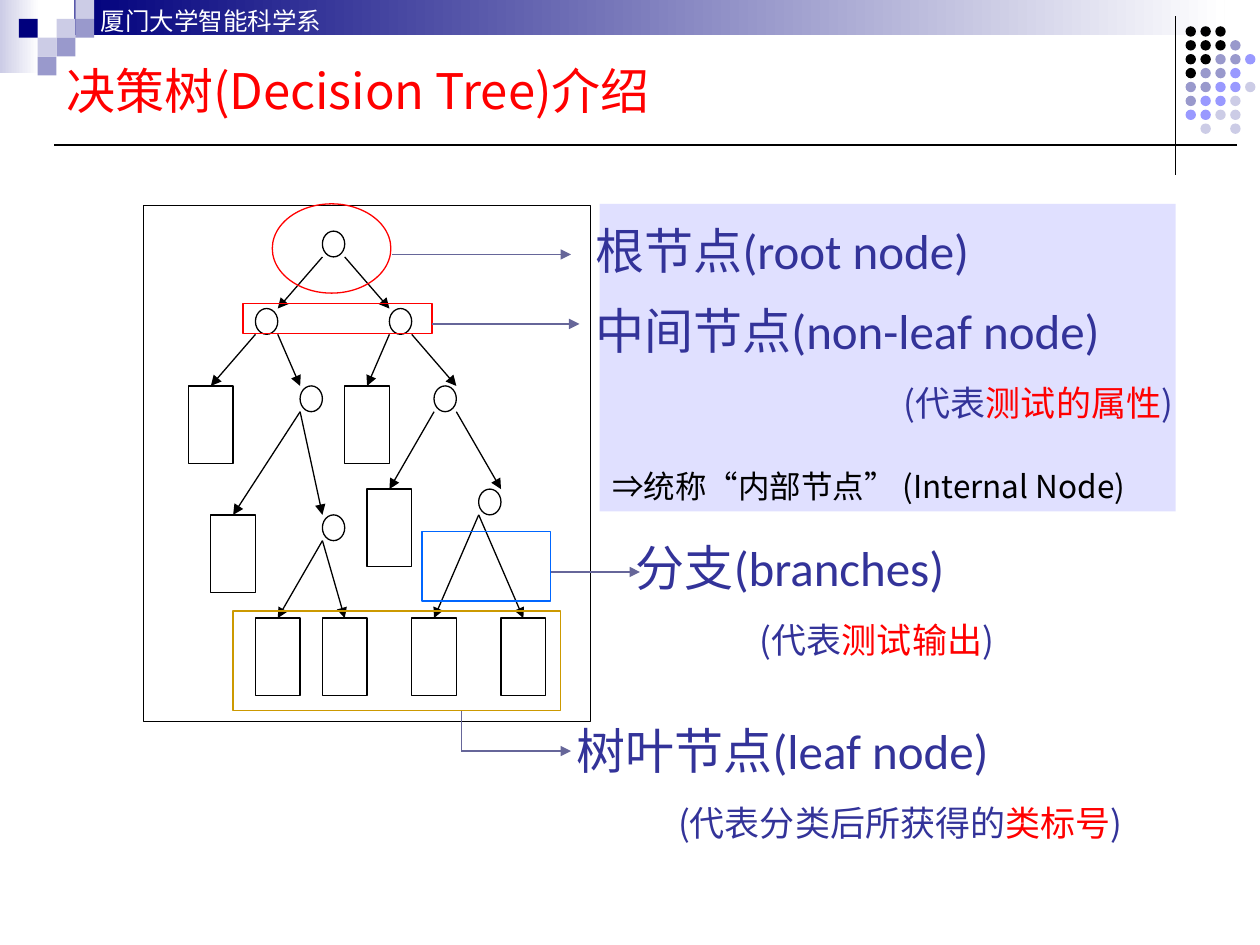
from pptx import Presentation, util as u
from pptx.dml.color import RGBColor
from pptx.enum import shapes, text
from pptx.oxml.ns import qn
from lxml import etree

HUES = {
    "black": "000000", "white": "FFFFFF", "red": "FF0000", "navy": "00007D",
    "pale": "CCCCE6", "mauve": "9999CC", "lilac": "9999FF", "ink": "333399",
    "slate": "666699", "blue": "0066FF", "gold": "CC9900",
}
CJK = "Noto Sans CJK JP"
RECT = shapes.MSO_SHAPE.RECTANGLE
OVAL = shapes.MSO_SHAPE.OVAL
LEFT, MID, RIGHT = text.PP_ALIGN.LEFT, text.PP_ALIGN.CENTER, text.PP_ALIGN.RIGHT

BANDS = [((0, 0, 0.79, 1.47), "pale"), ((1.5, 0, 23.19, 0.71), "navy")]
TILES = [(3, 1, "pale"), (4, 0, "pale"), (4, 1, "mauve"), (2, 2, "pale"),
         (1, 1, "navy"), (3, 2, "mauve"), (2, 3, "mauve")]
TILE = 0.38
DOTS = ["KKK", "KKKM", "KKMMB", "KMMB", "MMBBP", "MBBP", "BBPP", " P P"]
DOT_HUES = {"K": "black", "M": "mauve", "B": "lilac", "P": "pale"}
RULES = [(23.7, 0.33, 23.7, 3.53, 0.75), (24.94, 2.92, 1.09, 2.92, 1)]

TREE = (2.9, 4.14)
STEP = (0.45, 0.52)
NODES = [(8, 1), (5, 4), (11, 4), (7, 7), (13, 7), (15, 11), (8, 12)]
LEAVES = [(2, 7), (9, 7), (10, 11), (3, 12),
          (5, 16), (8, 16), (12, 16), (16, 16)]
EDGES = [(8, 2, 6, 4), (9, 2, 11, 4), (5, 5, 3, 7), (6, 5, 7, 7),
         (11, 5, 10, 7), (12, 5, 14, 7), (13, 8, 11, 11), (14, 8, 16, 11),
         (7, 8, 4, 12), (7, 8, 8, 12), (8, 13, 6, 16), (8, 13, 9, 16),
         (15, 12, 13, 16), (15, 12, 17, 16)]

MARKS = [(OVAL, (5.49, 4.11, 2.39, 1.8), "red"),
         (RECT, (4.9, 6.12, 3.81, 0.61), "red"),
         (RECT, (8.51, 10.72, 2.59, 1.4), "blue"),
         (RECT, (4.7, 12.32, 6.6, 2.01), "gold")]
LEADS = [(7.9, 5.13, 11.51, 5.13, True), (8.71, 6.53, 11.68, 6.53, True),
         (11.1, 11.53, 12.9, 11.53, True), (9.3, 14.33, 9.3, 15.14, False),
         (9.3, 15.14, 11.51, 15.14, True)]

HEAD = ((1.78, 0, 21.5, 0.86), "厦门大学智能科学系")
TITLE = ((1.09, 0.91, 22.2, 1.8), "决策树(Decision Tree)介绍")
PANEL = (12.09, 4.11, 11.61, 6.2)
SUM = [("⇒", 18, "Arial", "black"),
       ("统称“内部节点” (Internal Node)", 18, CJK, "black")]
NOTES = [
    ((10.49, 4.32, 10.8, 1.45), "根节点(root node)", None, LEFT),
    ((10.49, 5.94, 13.41, 2.74), "中间节点(non-leaf node)",
     ("(代表", "测试的属性", ")"), RIGHT),
    ((11.3, 10.72, 8.99, 2.74), "分支(branches)",
     ("(代表", "测试输出", ")"), RIGHT),
    ((10.11, 14.4, 14.81, 2.74), "树叶节点(leaf node)",
     ("(代表分类后所获得的", "类标号", ")"), MID),
]


def hue(name):
    return RGBColor.from_string(HUES[name])


def cms(vals):
    return [u.Cm(v) for v in vals]


def draw(kind, box, fill=None, line=None):
    shp = page.shapes.add_shape(kind, *cms(box))
    shp.shadow.inherit = False
    if fill:
        shp.fill.solid()
        shp.fill.fore_color.rgb = hue(fill)
    else:
        shp.fill.background()
    if line:
        shp.line.color.rgb = hue(line)
        shp.line.width = u.Pt(0.75)
    else:
        shp.line.fill.background()
    return shp


def link(ends, tint, width=0.75, tip=False):
    con = page.shapes.add_connector(shapes.MSO_CONNECTOR.STRAIGHT, *cms(ends))
    con.line.color.rgb = hue(tint)
    con.line.width = u.Pt(width)
    if tip:
        etree.SubElement(con.line._ln, qn("a:tailEnd"), type="triangle")
    etree.SubElement(con._element.spPr, qn("a:effectLst"))


def write(para, runs, align=LEFT):
    para.alignment = align
    for words, size, face, tint in runs:
        run = para.add_run()
        run.text = words
        run.font.size = u.Pt(size)
        run.font.name = face
        run.font.color.rgb = hue(tint)
        etree.SubElement(run._r.rPr, qn("a:ea"), typeface=CJK)


def frame(box, anchor=text.MSO_ANCHOR.TOP):
    body = page.shapes.add_textbox(*cms(box)).text_frame
    body.word_wrap = True
    body.vertical_anchor = anchor
    return body


def hang(para):
    props = para._p.get_or_add_pPr()
    props.set("marL", str(u.Cm(2.06)))
    props.set("indent", str(u.Cm(-0.79)))


def cell(col, row):
    return TREE[0] + col * STEP[0], TREE[1] + row * STEP[1]


def block(col, row, wide, high):
    return (*cell(col, row), wide * STEP[0], high * STEP[1])


deck = Presentation()
deck.slide_width, deck.slide_height = cms((25.4, 19.05))
page = deck.slides.add_slide(deck.slide_layouts[6])

for box, tint in BANDS:
    band = draw(RECT, box)
    band.fill.gradient()
    band.fill.gradient_angle = 0
    for stop, name in zip(band.fill.gradient_stops, (tint, "white")):
        stop.color.rgb = hue(name)
for col, row, tint in TILES:
    draw(RECT, (col * TILE, row * TILE, TILE, TILE), tint)
write(frame(HEAD[0]).paragraphs[0], [(HEAD[1], 14, CJK, "white")])

for row, line in enumerate(DOTS):
    for col, key in enumerate(line):
        if key in DOT_HUES:
            box = (23.9 + col * 0.3, 0.53 + row * 0.28, 0.21, 0.21)
            draw(OVAL, box, DOT_HUES[key])
for *ends, width in RULES:
    link(ends, "black", width)

panel = draw(RECT, PANEL, "lilac")
tone = next(panel._element.spPr.iter(qn("a:srgbClr")))
etree.SubElement(tone, qn("a:alpha"), val="30000")
body = panel.text_frame
body.word_wrap = True
body.vertical_anchor = text.MSO_ANCHOR.BOTTOM
write(body.paragraphs[0], SUM)

draw(RECT, block(0, 0, 20, 20), None, "black")
for spot in NODES:
    draw(OVAL, block(*spot, 1, 1), "white", "black")
for spot in LEAVES:
    draw(RECT, block(*spot, 2, 3), "white", "black")
for edge in EDGES:
    link((*cell(*edge[:2]), *cell(*edge[2:])), "black", tip=True)

write(frame(TITLE[0], text.MSO_ANCHOR.MIDDLE).paragraphs[0],
      [(TITLE[1], 28, CJK, "red")])
for kind, box, tint in MARKS:
    draw(kind, box, None, tint)
for *ends, tip in LEADS:
    link(ends, "slate", tip=tip)

for box, name, parts, align in NOTES:
    body = frame(box)
    para = body.paragraphs[0]
    hang(para)
    write(para, [(name, 28, "Calibri", "ink")])
    if parts:
        para = body.add_paragraph()
        hang(para)
        para.space_before = u.Pt(12.5)
        tints = ("ink", "red", "ink")
        write(para, [(p, 20, CJK, t) for p, t in zip(parts, tints)], align)

deck.save("out.pptx")
